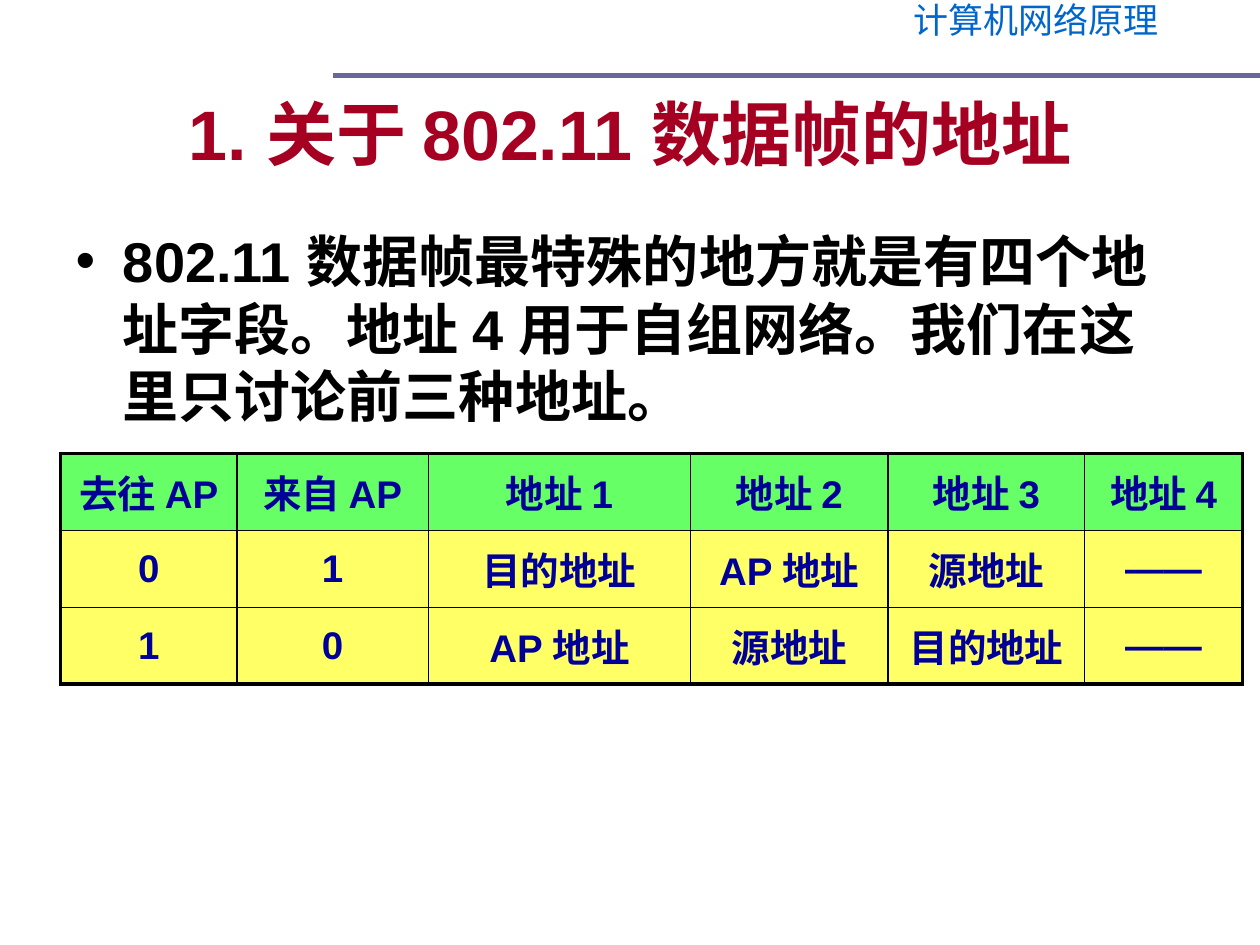
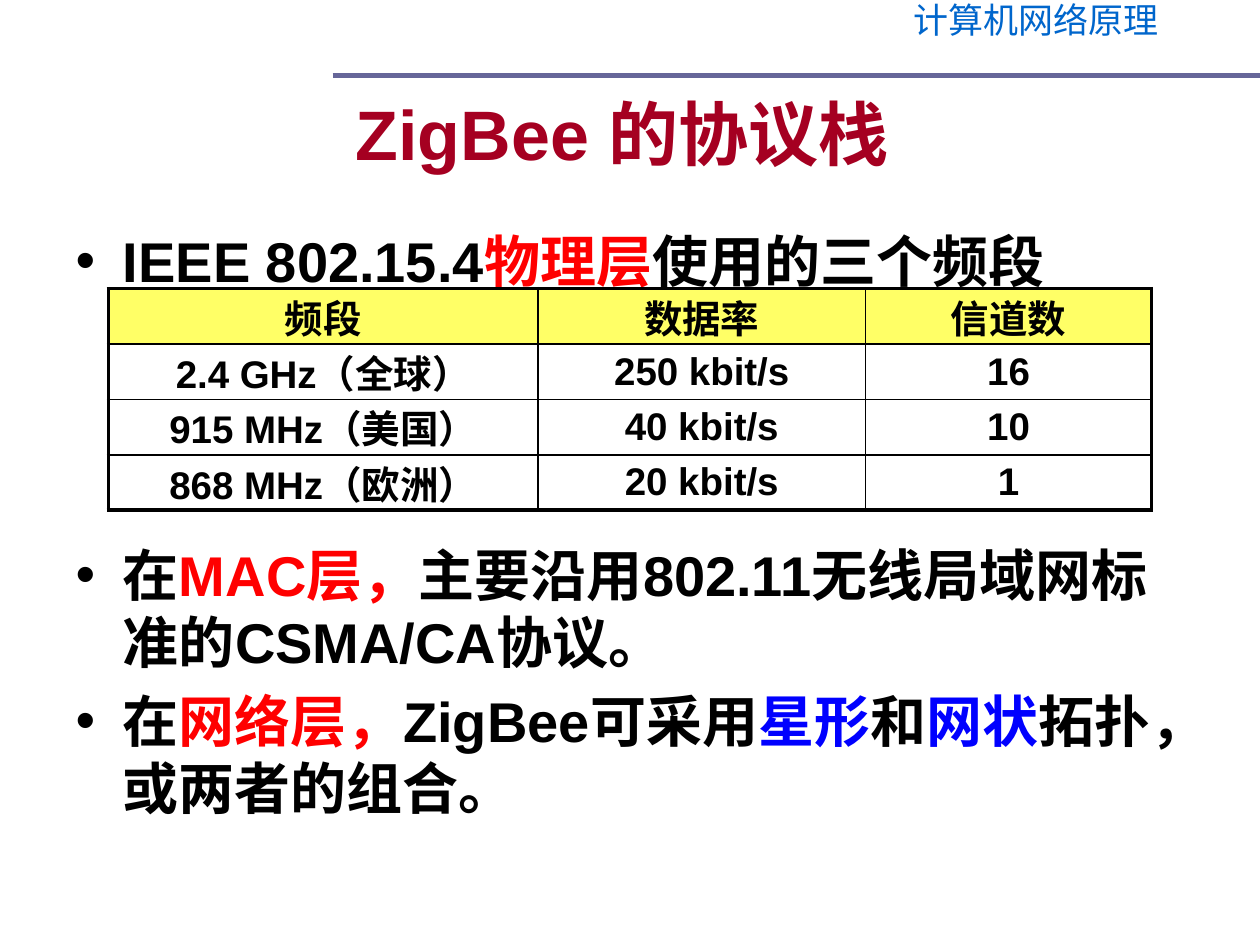
from dataclasses import dataclass

import pptx
import pptx.dml.color
import pptx.enum.shapes
import pptx.enum.text
import pptx.oxml
import pptx.oxml.ns
import pptx.util
from pptx.util import Inches


@dataclass(frozen=True)
class Theme:
    latin: str = "Arial"
    chinese: str = "Noto Sans CJK SC"
    header: str = "0066CC"
    rule: str = "666699"
    title: str = "A50021"
    text: str = "000000"
    red: str = "FF0000"
    blue: str = "0000FF"
    navy: str = "000099"
    green: str = "66FF66"
    yellow: str = "FFFF66"
    header_size: float = 20
    title_size: float = 40
    body_size: float = 32
    table_size: float = 22
    rule_width: float = 3
    outer_border: float = 2.25
    inner_border: float = 1


def rgb(color):
    return pptx.dml.color.RGBColor.from_string(color)


def add_xml(parent, tag, content="", **attributes):
    values = "".join(f' {name}="{value}"' for name, value in attributes.items())
    namespace = pptx.oxml.ns.nsdecls("a")
    parent.append(pptx.oxml.parse_xml(f"<a:{tag} {namespace}{values}>{content}</a:{tag}>"))


class Deck:
    def __init__(self, theme):
        self.theme = theme
        self.presentation = pptx.Presentation()
        self.presentation.slide_width = Inches(10)
        self.presentation.slide_height = Inches(7.5)
        self.slide = None

    def add_slide(self, title):
        self.slide = self.presentation.slides.add_slide(self.presentation.slide_layouts[1])
        self.add_header("计算机网络原理")
        self.add_rule()
        self.add_title(title)

    def format_paragraph(self, paragraph, size, color, bold=True, latin=None):
        font = paragraph.font
        font.size = pptx.util.Pt(size)
        font.bold = bold
        font.color.rgb = rgb(color)
        font.name = latin or self.theme.latin
        add_xml(font._element, "ea", typeface=self.theme.chinese)

    def place(self, shape, left, top, width, height):
        shape.left, shape.top = Inches(left), Inches(top)
        shape.width, shape.height = Inches(width), Inches(height)

    def add_header(self, text):
        shape = self.slide.shapes.add_textbox(Inches(6.73), 0, Inches(2.99), Inches(0.44))
        shape.text_frame.word_wrap = False
        paragraph = shape.text_frame.paragraphs[0]
        paragraph.text = text
        paragraph.alignment = pptx.enum.text.PP_ALIGN.CENTER
        paragraph.line_spacing = 0.8
        self.format_paragraph(paragraph, self.theme.header_size, self.theme.header,
                              False, self.theme.chinese)

    def add_rule(self):
        rule = self.slide.shapes.add_connector(
            pptx.enum.shapes.MSO_CONNECTOR.STRAIGHT,
            Inches(2.64), Inches(0.6), Inches(10), Inches(0.6))
        rule.line.color.rgb = rgb(self.theme.rule)
        rule.line.width = pptx.util.Pt(self.theme.rule_width)
        add_xml(rule._element.spPr, "effectLst")

    def add_title(self, text):
        shape = self.slide.shapes.title
        self.place(shape, 0.5, 0.43, 9, 1.25)
        shape.text_frame.auto_size = pptx.enum.text.MSO_AUTO_SIZE.NONE
        shape.text_frame.vertical_anchor = pptx.enum.text.MSO_ANCHOR.MIDDLE
        paragraph = shape.text_frame.paragraphs[0]
        paragraph.text = text
        paragraph.alignment = pptx.enum.text.PP_ALIGN.CENTER
        self.format_paragraph(paragraph, self.theme.title_size, self.theme.title)

    def add_bullets(self, bullets, gaps=None):
        shape = self.slide.placeholders[1]
        self.place(shape, 0.5, 1.75, 9, 4.95)
        frame = shape.text_frame
        frame.auto_size = pptx.enum.text.MSO_AUTO_SIZE.NONE
        for index, pieces in enumerate(bullets):
            paragraph = frame.add_paragraph() if index else frame.paragraphs[0]
            if gaps and index in gaps:
                paragraph.space_before = pptx.util.Pt(gaps[index])
            self.format_paragraph(paragraph, self.theme.body_size, self.theme.text)
            for text, color in pieces:
                run = paragraph.add_run()
                run.text = text
                if color:
                    run.font.color.rgb = rgb(color)

    def add_table(self, left, top, widths, row_height, rows, color, fills, margins):
        shape = self.slide.shapes.add_table(
            len(rows), len(widths), Inches(left), Inches(top),
            Inches(sum(widths)), Inches(row_height * len(rows)))
        table = shape.table
        table.first_row = table.horz_banding = False
        for column, width in zip(table.columns, widths):
            column.width = Inches(width)
        last_row, last_column = len(rows) - 1, len(widths) - 1
        for row, texts in enumerate(rows):
            table.rows[row].height = Inches(row_height)
            for column, text in enumerate(texts):
                cell = table.cell(row, column)
                self.format_cell(cell, text, color, margins)
                self.add_borders(cell, L=column == 0, R=column == last_column,
                                 T=row == 0, B=row == last_row)
                self.fill_cell(cell, fills[min(row, 1)])

    def format_cell(self, cell, text, color, margins):
        cell.margin_left = cell.margin_right = Inches(margins[0])
        cell.margin_top = cell.margin_bottom = Inches(margins[1])
        cell.vertical_anchor = pptx.enum.text.MSO_ANCHOR.MIDDLE
        paragraph = cell.text_frame.paragraphs[0]
        paragraph.text = text
        paragraph.alignment = pptx.enum.text.PP_ALIGN.CENTER
        self.format_paragraph(paragraph, self.theme.table_size, color)

    def add_borders(self, cell, **outer_sides):
        fill = f'<a:solidFill><a:srgbClr val="{self.theme.text}"/></a:solidFill>'
        for side, outer in outer_sides.items():
            width = self.theme.outer_border if outer else self.theme.inner_border
            add_xml(cell._tc.get_or_add_tcPr(), f"ln{side}", fill, w=int(pptx.util.Pt(width)))

    def fill_cell(self, cell, color):
        if color:
            cell.fill.solid()
            cell.fill.fore_color.rgb = rgb(color)
        else:
            cell.fill.background()


def add_address_slide(deck):
    theme = deck.theme
    deck.add_slide("1. 关于 802.11 数据帧的地址")
    deck.add_bullets([[
        ("802.11 数据帧最特殊的地方就是有四个地址字段。"
         "地址 4 用于自组网络。我们在这里只讨论前三种地址。", None)]])
    deck.add_table(
        0.48, 3.6, [1.4, 1.52, 2.08, 1.57, 1.56, 1.25], 0.61,
        [["去往 AP", "来自 AP", "地址 1", "地址 2", "地址 3", "地址 4"],
         ["0", "1", "目的地址", "AP 地址", "源地址", "——"],
         ["1", "0", "AP 地址", "源地址", "目的地址", "——"]],
        theme.navy, (theme.green, theme.yellow), (0.1, 0.05))


def add_zigbee_slide(deck):
    theme = deck.theme
    deck.add_slide("ZigBee 的协议栈 ")
    deck.add_bullets([
        [("IEEE 802.15.4", None), ("物理层", theme.red), ("使用的三个频段", None)],
        [("在", None), ("MAC层，", theme.red),
         ("主要沿用802.11无线局域网标准的CSMA/CA协议。", None)],
        [("在", None), ("网络层，", theme.red), ("ZigBee可采用", None),
         ("星形", theme.blue), ("和", None), ("网状", theme.blue),
         ("拓扑，或两者的组合。", None)],
    ], gaps={1: 141})
    deck.add_table(
        0.86, 2.29, [3.41, 2.6, 2.27], 0.44,
        [["频段", "数据率", "信道数"],
         ["2.4 GHz（全球）", "250 kbit/s", "16"],
         ["915 MHz（美国）", "40 kbit/s", "10"],
         ["868 MHz（欧洲）", "20 kbit/s", "1"]],
        theme.text, (theme.yellow, None), (0.07, 0))


def main():
    deck = Deck(Theme())
    add_address_slide(deck)
    add_zigbee_slide(deck)
    deck.presentation.save("out.pptx")


if __name__ == "__main__":
    main()
